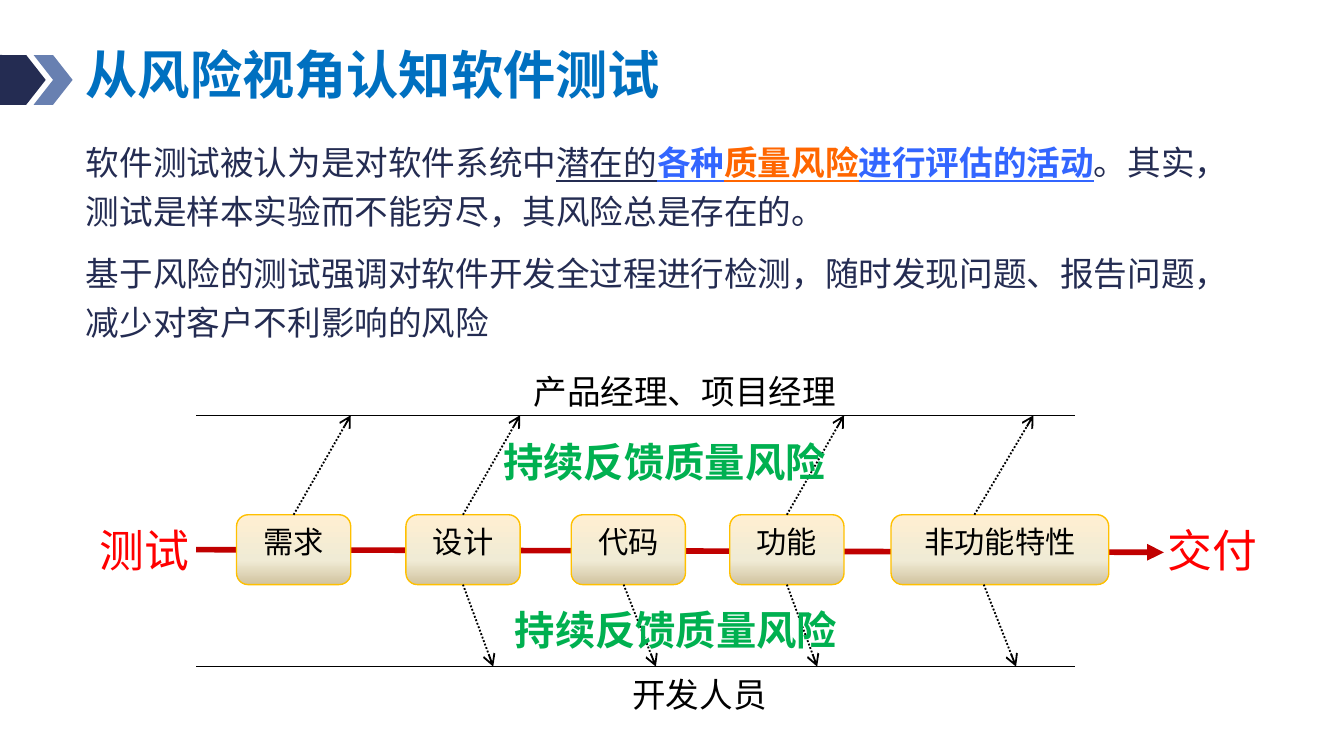
from copy import deepcopy

from lxml import etree
from pptx import Presentation
from pptx import util as u
from pptx.dml.color import RGBColor
from pptx.enum import dml, shapes, text
from pptx.oxml.ns import qn

NAVY = RGBColor(0x24, 0x2C, 0x52)
STEEL = RGBColor(0x68, 0x80, 0xB1)
TITLE_BLUE = RGBColor(0x00, 0x70, 0xC0)
LINK_BLUE = RGBColor(0x33, 0x66, 0xFF)
ORANGE = RGBColor(0xFF, 0x66, 0x00)
DARK_RED = RGBColor(0xC0, 0x00, 0x00)
RED = RGBColor(0xFF, 0x00, 0x00)
GREEN = RGBColor(0x00, 0xB0, 0x50)
GOLD = RGBColor(0xFF, 0xC0, 0x00)
BLACK = RGBColor(0x00, 0x00, 0x00)
CREAM_STOPS = [
    (0, RGBColor(0xFF, 0xEF, 0xD1)),
    (0.65, RGBColor(0xF0, 0xEB, 0xD5)),
    (1, RGBColor(0xD1, 0xC3, 0x9F)),
]
SANS = "Noto Sans CJK SC"
LATIN = "Calibri"

# Heights of the diagram's levels, in inches
MANAGER_Y, STAGE_Y, STAGE_HEIGHT, DEVELOPER_Y = 3.09, 3.83, 0.52, 4.96
STAGE_BOTTOM = STAGE_Y + STAGE_HEIGHT
TOP_SIDE, BOTTOM_SIDE = 0, 2


def add_span(para, words, size, color, bold=False, underline=False, font=SANS):
    span = para.add_run()
    span.text = words
    span.font.size = u.Pt(size)
    span.font.name = font
    span.font.bold = bold
    span.font.underline = underline
    span.font.color.rgb = color
    east_asian = etree.SubElement(span.font._element, qn("a:ea"))
    east_asian.set("typeface", SANS)


def add_text_box(page, left, top, width, height, wrap=True):
    box = page.shapes.add_textbox(*map(u.Inches, (left, top, width, height)))
    box.text_frame.word_wrap = wrap
    return box


def add_plain_shape(page, kind, left, top, width, height, color=None):
    shape = page.shapes.add_shape(kind, *map(u.Inches, (left, top, width, height)))
    shape.shadow.inherit = False
    shape.line.fill.background()
    if color is None:
        shape.fill.background()
    else:
        shape.fill.solid()
        shape.fill.fore_color.rgb = color
    return shape


def add_label(page, words, left, top, width, height, size, color, font=SANS, bold=False):
    """Rounded shape without fill, holding one centred line at its top."""
    shape = add_plain_shape(page, shapes.MSO_SHAPE.ROUNDED_RECTANGLE,
                            left, top, width, height)
    frame = shape.text_frame
    frame.vertical_anchor = text.MSO_ANCHOR.TOP
    frame.margin_left = frame.margin_right = u.Inches(0.09)
    frame.margin_top = frame.margin_bottom = u.Inches(0.04)
    para = frame.paragraphs[0]
    para.alignment = text.PP_ALIGN.CENTER
    add_span(para, words, size, color, bold, font=font)
    return shape


def add_stage(page, words, left, width):
    stage = add_label(page, words, left, STAGE_Y, width, STAGE_HEIGHT, 16.2, BLACK, LATIN)
    stage.line.color.rgb = GOLD
    stage.line.width = u.Pt(0.75)
    stage.fill.gradient()
    stage.fill.gradient_angle = 270
    stop_list = stage._element.spPr.find(".//" + qn("a:gsLst"))
    stop_list.append(deepcopy(stop_list[-1]))
    for stop, (position, color) in zip(stage.fill.gradient_stops, CREAM_STOPS):
        stop.position = position
        stop.color.rgb = color
    return stage


def add_line(page, start, end, color, weight, head=None):
    line = page.shapes.add_connector(shapes.MSO_CONNECTOR.STRAIGHT,
                                     *map(u.Inches, (*start, *end)))
    line.line.color.rgb = color
    line.line.width = u.Pt(weight)
    if head:
        arrow = etree.SubElement(line.line._get_or_add_ln(), qn("a:tailEnd"))
        arrow.set("type", head)
    etree.SubElement(line._element.spPr, qn("a:effectLst"))
    return line


def add_feedback_arrow(page, start, end, stage=None, side=TOP_SIDE):
    arrow = add_line(page, start, end, BLACK, 1, "arrow")
    arrow.line.dash_style = dml.MSO_LINE.ROUND_DOT
    if stage is not None:
        arrow.begin_connect(stage, side)


def add_heading(page):
    for kind, left, width, color in [
        (shapes.MSO_SHAPE.ROUNDED_RECTANGLE, -0.15, 0.35, NAVY),
        (shapes.MSO_SHAPE.CHEVRON, 0.25, 0.29, STEEL),
        (shapes.MSO_SHAPE.CHEVRON, 0.05, 0.29, NAVY),
    ]:
        mark = add_plain_shape(page, kind, left, 0.41, width, 0.37, color)
        if kind == shapes.MSO_SHAPE.ROUNDED_RECTANGLE:
            mark.adjustments[0] = 0.1
    box = add_text_box(page, 0.54, 0.2, 7.07, 0.75)
    box.text_frame.vertical_anchor = text.MSO_ANCHOR.MIDDLE
    para = box.text_frame.paragraphs[0]
    para.line_spacing = 0.9
    add_span(para, "从风险视角认知软件测试", 28, TITLE_BLUE, bold=True)


def add_body(page):
    frame = add_text_box(page, 0.54, 0.95, 8.82, 1.75).text_frame
    first = frame.paragraphs[0]
    for words, color, bold, underline in [
        ("软件测试被认为是对软件系统中", NAVY, False, False),
        ("潜在的", NAVY, False, True),
        ("各种", LINK_BLUE, True, True),
        ("质量风险", ORANGE, True, True),
        ("进行评估的活动", LINK_BLUE, True, True),
        ("。其实，测试是样本实验而不能穷尽，其风险总是存在的。", NAVY, False, False),
    ]:
        add_span(first, words, 18, color, bold, underline)
    second = frame.add_paragraph()
    second.space_before = u.Pt(7.5)
    add_span(second, "基于风险的测试强调对软件开发全过程进行检测，随时发现问题、"
                     "报告问题，减少对客户不利影响的风险", 18, NAVY)
    for para in (first, second):
        para.line_spacing = 1.2


def add_diagram(page):
    # Delivery arrow, running behind the stages
    add_line(page, (1.46, 4.09), (8.66, 4.11), DARK_RED, 3, "triangle")
    stages = {
        words: add_stage(page, words, left, width)
        for words, left, width in [
            ("需求", 1.76, 0.85), ("设计", 3.02, 0.85), ("代码", 4.25, 0.85),
            ("功能", 5.43, 0.85), ("非功能特性", 6.63, 1.62),
        ]
    }

    # Stakeholder lines and their names
    for y in (MANAGER_Y, DEVELOPER_Y):
        add_line(page, (1.46, y), (8, y), BLACK, 0.75)
    add_label(page, "产品经理、项目经理", 3.7, 2.7, 2.79, 0.35, 18, BLACK)
    add_label(page, "开发人员", 4.37, DEVELOPER_Y, 1.67, 0.34, 18, BLACK)

    # Feedback to managers above and developers below
    for x, name in [(2.17, "需求"), (3.43, "设计"), (5.84, "功能"), (7.25, None)]:
        add_feedback_arrow(page, (x, STAGE_Y), (x + 0.44, MANAGER_Y),
                           stages.get(name), TOP_SIDE)
    for x, name in [(3.43, "设计"), (4.64, None), (5.84, "功能"), (7.32, None)]:
        add_feedback_arrow(page, (x, STAGE_BOTTOM), (x + 0.24, DEVELOPER_Y),
                           stages.get(name), BOTTOM_SIDE)
    for left, top, width in [(3.59, 3.19, 2.71), (3.65, 4.44, 2.76)]:
        add_label(page, "持续反馈质量风险", left, top, width, 0.52, 21.6, GREEN,
                  LATIN, bold=True)

    # Start and end of the process
    for words, left in [("测试", 0.64), ("交付", 8.59)]:
        box = add_text_box(page, left, 3.84, 0.88, 0.5, wrap=False)
        add_span(box.text_frame.paragraphs[0], words, 24, RED)


def main():
    deck = Presentation()
    # Widescreen, 16:9
    deck.slide_width = u.Inches(10)
    deck.slide_height = deck.slide_width * 9 // 16
    page = deck.slides.add_slide(deck.slide_layouts[6])
    add_heading(page)
    add_body(page)
    add_diagram(page)
    deck.save("out.pptx")


if __name__ == "__main__":
    main()
